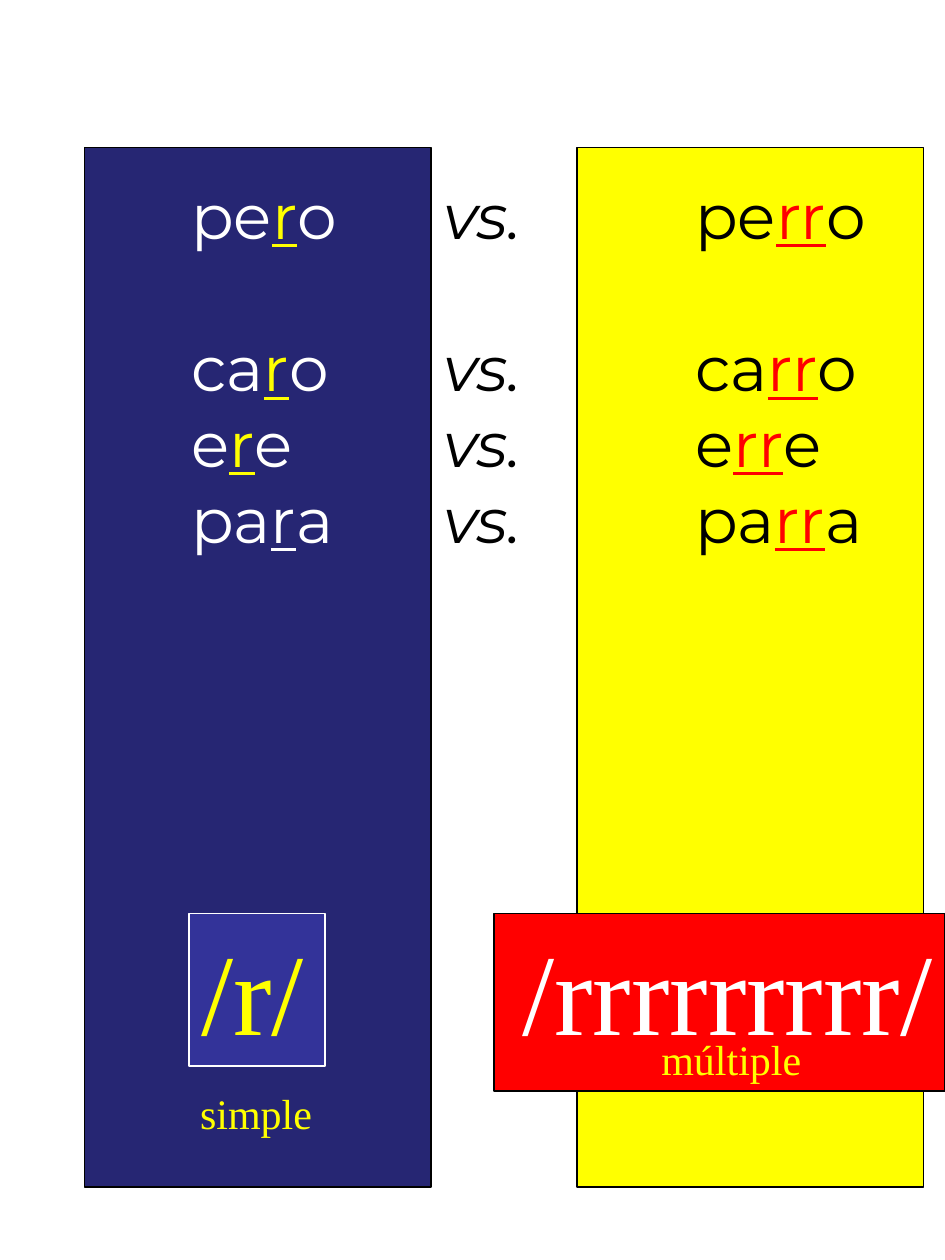
import pptx
import pptx.util
import pptx.dml.color
import pptx.enum.text
import pptx.enum.shapes
import pptx.oxml
import pptx.oxml.ns
from lxml import etree

Inches, Pt = pptx.util.Inches, pptx.util.Pt
Align = pptx.enum.text.PP_ALIGN

THEME = {
    "navy": "262673", "indigo": "333399", "yellow": "FFFF00", "red": "FF0000",
    "white": "FFFFFF", "black": "000000",
    "sans": "Montserrat", "serif": "Times New Roman",
    "word": 36, "sound": 66, "label": 24,
}

PAIRS = [
    ("pe", "r", "o", "yellow", 0),
    ("ca", "r", "o", "yellow", 44),
    ("e", "r", "e", "yellow", 0),
    ("pa", "r", "a", "white", 0),
]
TABS = (1, 3, 5)

TOP = 1.17
BARS = {
    "multiple": (4.58, TOP, 2.75, 8.25, "yellow", "black"),
    "simple": (0.67, TOP, 2.75, 8.25, "navy", "black"),
}
SOUNDS = [
    ("/rrrrrrrrr/", (3.92, 7.25, 3.58, 1.41, "red", "black"), "white", Align.RIGHT),
    ("/r/", (1.5, 7.25, 1.08, 1.21, "indigo", "white"), "yellow", Align.LEFT),
]
LABELS = [
    ("simple", (1.49, 8.58, 1.1, 0.5)),
    ("múltiple", (5.15, 8.15, 1.32, 0.5)),
]


def rgb(name):
    return pptx.dml.color.RGBColor.from_string(THEME[name])


def style(run, face, size, color):
    run.font.name = THEME[face]
    run.font.size = Pt(THEME[size])
    run.font.color.rgb = rgb(color)


def add_box(slide, left, top, width, height, fill, line):
    box = slide.shapes.add_shape(
        pptx.enum.shapes.MSO_SHAPE.RECTANGLE,
        Inches(left), Inches(top), Inches(width), Inches(height))
    box.shadow.inherit = False
    box.fill.solid()
    box.fill.fore_color.rgb = rgb(fill)
    box.line.color.rgb = rgb(line)
    box.line.width = Pt(0.75)
    return box


def add_text(slide, place, wrap):
    frame = slide.shapes.add_textbox(*map(Inches, place)).text_frame
    frame.word_wrap = wrap
    return frame


def set_line(frame, text, size, color, align=Align.LEFT):
    frame.text = text
    para = frame.paragraphs[0]
    para.alignment = align
    style(para.runs[0], "serif", size, color)


def set_tabs(para):
    props = para._p.get_or_add_pPr()
    stops = etree.SubElement(props, pptx.oxml.ns.qn("a:tabLst"))
    for stop in TABS:
        etree.SubElement(stops, pptx.oxml.ns.qn("a:tab"),
                         pos=str(Inches(stop)), algn="l")


def add_pair(para, head, mid, tail, accent, gap):
    para.space_before = Pt(gap)
    set_tabs(para)
    parts = [
        ("\t" + head, "white"), (mid, accent), (tail + "\t", "white"),
        ("vs.", "black"),
        ("\t" + head, "black"), (mid * 2, "red"), (tail, "black"),
    ]
    for text, color in parts:
        run = para.add_run()
        run.text = text
        style(run, "sans", "word", color)
        run.font.underline = text.strip("r") == ""
        run.font.italic = text == "vs."


def main():
    deck = pptx.Presentation()
    deck.slide_width, deck.slide_height = Inches(7.5), Inches(10)
    slide = deck.slides.add_slide(deck.slide_layouts[6])

    add_box(slide, *BARS["multiple"])
    boxes = [add_box(slide, *SOUNDS[0][1]), add_box(slide, *BARS["simple"])]
    words = add_text(slide, (0.42, 1.35, 6.96, 4.95), True)
    for index, pair in enumerate(PAIRS):
        para = words.add_paragraph() if index else words.paragraphs[0]
        add_pair(para, *pair)
    boxes[1] = add_box(slide, *SOUNDS[1][1])

    for box, (text, place, color, align) in zip(boxes, SOUNDS):
        frame = box.text_frame
        frame.vertical_anchor = pptx.enum.text.MSO_ANCHOR.TOP
        frame.word_wrap = True
        set_line(frame, text, "sound", color, align)
    for text, place in LABELS:
        set_line(add_text(slide, place, False), text, "label", "yellow")

    deck.save("out.pptx")


if __name__ == "__main__":
    main()
